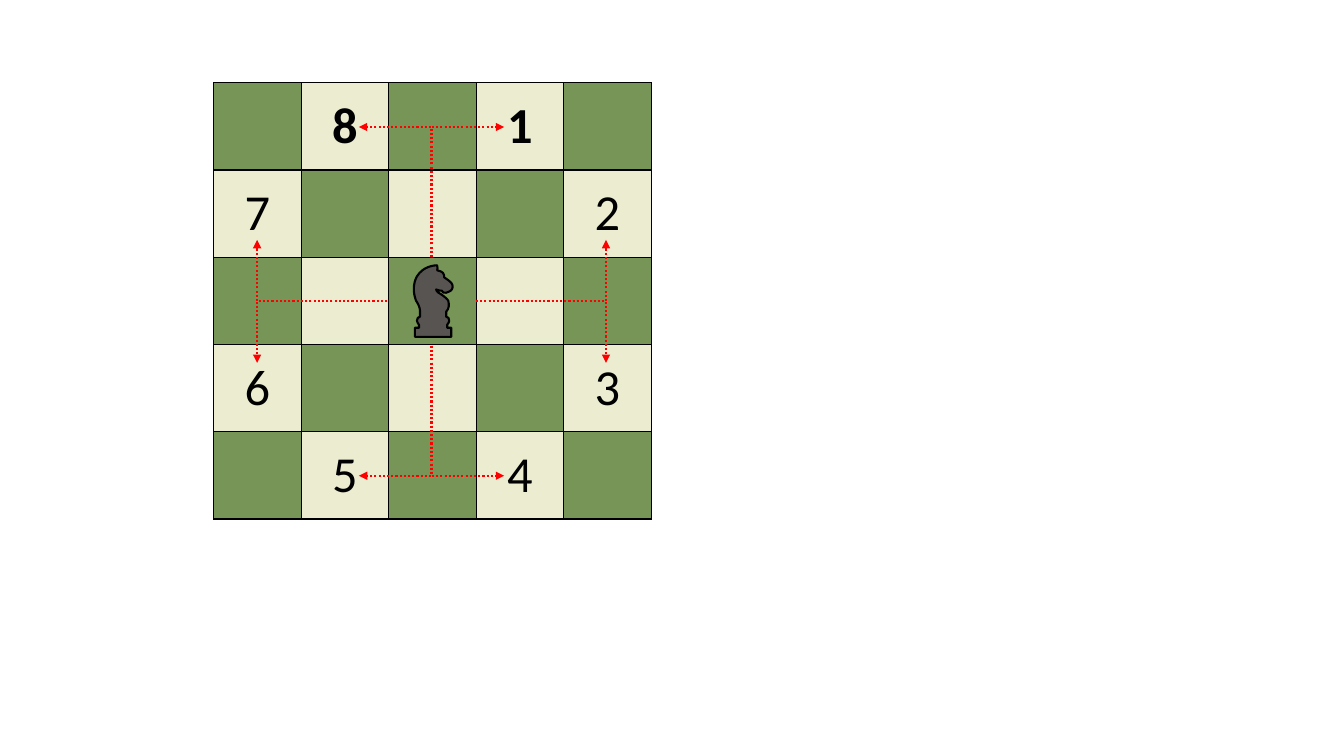
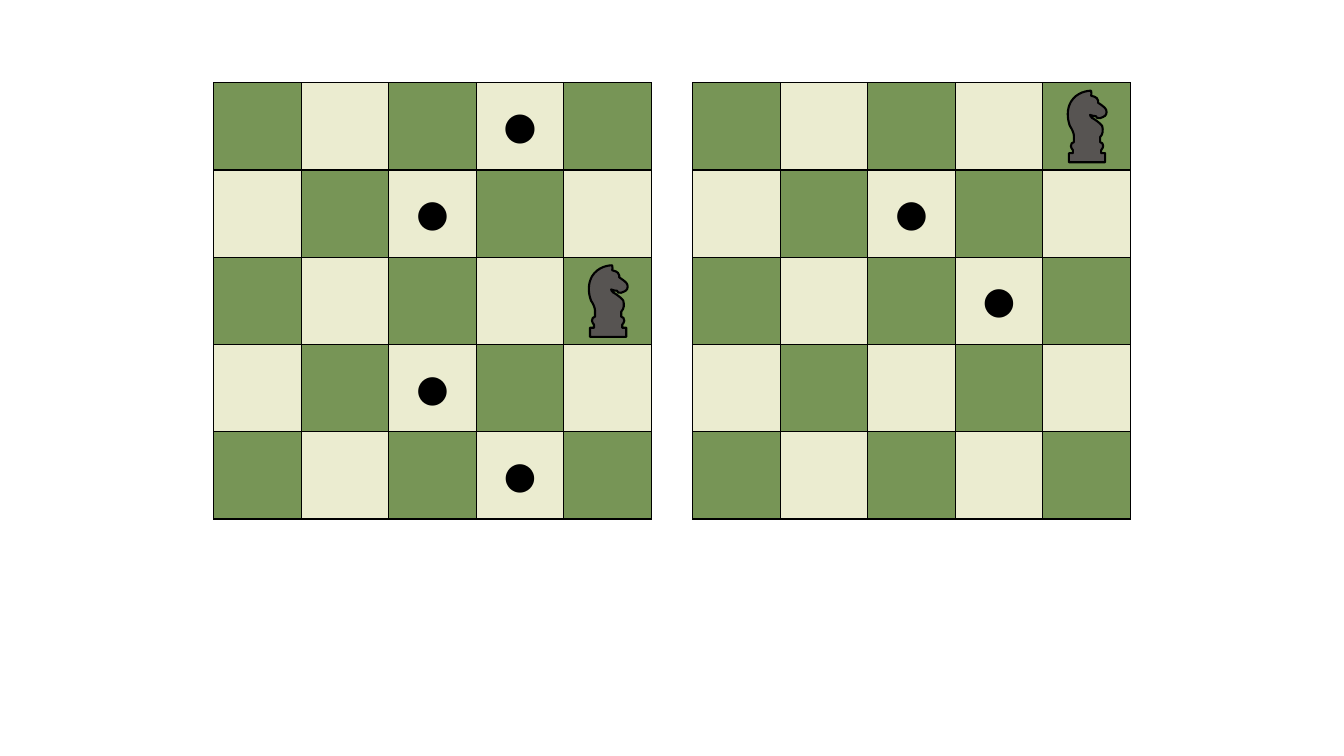
from dataclasses import dataclass

from lxml.etree import SubElement
from pptx import Presentation
from pptx.dml.color import RGBColor
from pptx.enum.dml import MSO_LINE
from pptx.enum.shapes import MSO_CONNECTOR
from pptx.enum.text import MSO_ANCHOR, PP_ALIGN
from pptx.oxml.ns import qn
from pptx.util import Inches, Pt


@dataclass(frozen=True)
class Theme:
    dark: str = "779556"
    light: str = "EBECD0"
    ink: str = "000000"
    knight: str = "575452"
    move: str = "FF0000"
    font: str = "Calibri"
    number_size: int = 36
    dot_size: int = 44
    border: float = 1
    outline: float = 1.5


THEME = Theme()
SQUARES = 5
WIDTH, HEIGHT = 4.34, 4.33
COLUMN, ROW = WIDTH / SQUARES, HEIGHT / SQUARES
TOP = 0.82
LEFT_BOARD = 2.12
RIGHT_BOARD = 6.87
KNIGHT_INSET = (0.24, 0.08)
KNIGHT_START = (34, 59)
KNIGHT_OUTLINE = [
    (35, 58, 36, 56, 36, 55), (36, 53, 35, 51, 33, 51), (33, 46),
    (36, 43, 36, 39, 35, 35), (33, 32, 27, 28, 25, 27),
    (24, 26, 23, 25, 23, 24), (24, 25, 25, 25, 26, 25),
    (28, 24, 30, 26, 30, 27), (32, 28, 34, 27, 36, 26),
    (39, 25, 40, 22, 39, 19), (39, 17, 31, 12, 31, 12), (31, 10),
    (31, 9, 30, 6, 24, 5), (24, 5, 25, 1, 24, 0),
    (21, 0, 10, 1, 4, 11), (0, 18, 0, 27, 3, 35),
    (5, 38, 7, 42, 7, 45), (7, 51), (5, 51, 4, 53, 4, 55),
    (4, 56, 5, 58, 6, 59), (6, 62), (2, 62), (2, 71), (38, 71),
    (38, 62), (34, 62),
]


class ChessDeck:
    def __init__(self, theme):
        self.theme = theme
        self.deck = Presentation()
        self.deck.slide_width = Inches(13.33)
        self.deck.slide_height = Inches(7.5)
        self.shapes = None

    def new_slide(self):
        self.shapes = self.deck.slides.add_slide(self.deck.slide_layouts[6]).shapes

    def board(self, left, marks, size):
        grid = self.shapes.add_table(
            SQUARES, SQUARES, Inches(left), Inches(TOP), Inches(WIDTH), Inches(HEIGHT)
        ).table
        grid.first_row = grid.horz_banding = False
        for row in range(SQUARES):
            for column in range(SQUARES):
                square = grid.cell(row, column)
                self.border(square)
                shade = self.theme.light if (row + column) % 2 else self.theme.dark
                square.fill.solid()
                square.fill.fore_color.rgb = RGBColor.from_string(shade)
                if (row, column) in marks:
                    self.mark(square, marks[row, column], size, row == 0)

    def border(self, square):
        properties = square._tc.get_or_add_tcPr()
        for edge in ("a:lnL", "a:lnR", "a:lnT", "a:lnB"):
            line = SubElement(properties, qn(edge), w=str(Pt(self.theme.border)))
            fill = SubElement(line, qn("a:solidFill"))
            SubElement(fill, qn("a:srgbClr"), val=self.theme.ink)

    def mark(self, square, text, size, bold):
        square.text = text
        square.vertical_anchor = MSO_ANCHOR.MIDDLE
        paragraph = square.text_frame.paragraphs[0]
        paragraph.alignment = PP_ALIGN.CENTER
        font = paragraph.font
        font.name = self.theme.font
        font.size = Pt(size)
        font.bold = bold
        font.color.rgb = RGBColor.from_string(self.theme.ink)

    def knight(self, left, row, column):
        points = [
            (Inches(segment[i] / 100), Inches(segment[i + 1] / 100))
            for segment in [KNIGHT_START, *KNIGHT_OUTLINE]
            for i in range(0, len(segment), 2)
        ]
        builder = self.shapes.build_freeform(*points[0], scale=1.0)
        builder.add_line_segments(points[1:], close=True)
        piece = builder.convert_to_shape(
            Inches(left + column * COLUMN + KNIGHT_INSET[0]),
            Inches(TOP + row * ROW + KNIGHT_INSET[1]),
        )
        self.round_outline(piece)
        piece.shadow.inherit = False
        piece.fill.solid()
        piece.fill.fore_color.rgb = RGBColor.from_string(self.theme.knight)
        piece.line.color.rgb = RGBColor.from_string(self.theme.ink)
        piece.line.width = Pt(self.theme.outline)

    def round_outline(self, piece):
        outline = piece._element.find(".//" + qn("a:path"))
        steps = iter(outline.findall(qn("a:lnTo")))
        for segment in KNIGHT_OUTLINE:
            curve = next(steps)
            if len(segment) == 6:
                curve.tag = qn("a:cubicBezTo")
                for _ in range(2):
                    step = next(steps)
                    curve.append(step[0])
                    outline.remove(step)

    def move(self, x, y, dx, dy, vertical):
        if vertical:
            turn = 90 if dx < 0 else 270
            along, across = (dy if dx < 0 else -dy), abs(dx)
        else:
            turn = 180 if dy < 0 else 0
            along, across = (-dx if dy < 0 else dx), abs(dy)
        middle_x, middle_y = x + dx / 2, y + dy / 2
        arrow = self.shapes.add_connector(
            MSO_CONNECTOR.ELBOW,
            Inches(middle_x - along / 2), Inches(middle_y - across / 2),
            Inches(middle_x + along / 2), Inches(middle_y + across / 2),
        )
        arrow.line.color.rgb = RGBColor.from_string(self.theme.move)
        arrow.line.width = Pt(self.theme.outline)
        arrow.line.dash_style = MSO_LINE.ROUND_DOT
        properties = arrow._element.spPr
        properties.find(qn("a:xfrm")).set("rot", str(turn * 60000))
        bends = properties.find(qn("a:prstGeom")).get_or_add_avLst()
        SubElement(bends, qn("a:gd"), name="adj1", fmla="val 100000")
        SubElement(arrow.line._get_or_add_ln(), qn("a:tailEnd"), type="triangle")
        SubElement(properties, qn("a:effectLst"))

    def knight_moves(self, x, y):
        gap, run = 0.44, 1.29
        for way in (1, -1):
            for side in (-1, 1):
                self.move(x + way * gap, y, way * run, side * 0.61, False)
        for way in (1, -1):
            for side in (1, -1):
                self.move(x, y + way * gap, side * 0.72, way * run, True)


def main():
    chess = ChessDeck(THEME)
    chess.new_slide()
    targets = [(0, 3), (1, 4), (3, 4), (4, 3), (4, 1), (3, 0), (1, 0), (0, 1)]
    numbers = {target: str(number) for number, target in enumerate(targets, 1)}
    chess.board(LEFT_BOARD, numbers, THEME.number_size)
    chess.knight(LEFT_BOARD, 2, 2)
    chess.knight_moves(4.28, 2.99)

    chess.new_slide()
    for left, home, reachable in (
        (LEFT_BOARD, (2, 4), [(0, 3), (1, 2), (3, 2), (4, 3)]),
        (RIGHT_BOARD, (0, 4), [(1, 2), (2, 3)]),
    ):
        chess.board(left, dict.fromkeys(reachable, "●"), THEME.dot_size)
        chess.knight(left, *home)
    chess.deck.save("out.pptx")


if __name__ == "__main__":
    main()
